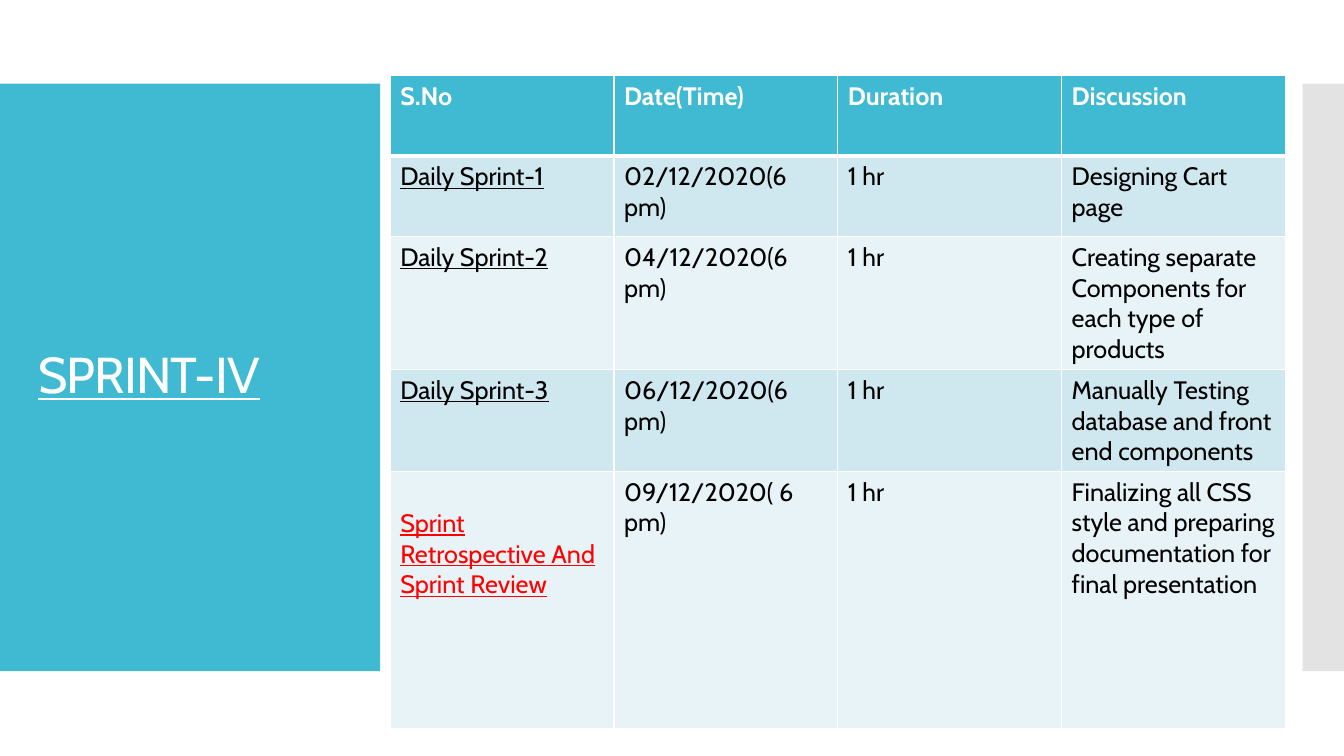
from lxml import etree
from pptx import Presentation
from pptx.dml.color import RGBColor
from pptx.enum import shapes, text
from pptx.oxml import ns
from pptx.util import Inches, Pt

FONT = "Cabin"
TEAL, WHITE, BLACK, RED, GREY = "40BAD2", "FFFFFF", "000000", "FF0000", "C8C8C8"
BANDS = ["CFE7EE", "E8F3F7"]

COLUMN_WIDTH = 2.22
ROW_HEIGHTS = [0.8, 0.8, 1.32, 1.01, 2.55]
SPRINTS = [
    ["S.No", "Date(Time)", "Duration", "Discussion"],
    ["Daily Sprint-1", "02/12/2020(6 pm)", "1 hr", "Designing Cart page"],
    ["Daily Sprint-2", "04/12/2020(6 pm)", "1 hr",
     "Creating separate Components for each type of products"],
    ["Daily Sprint-3", "06/12/2020(6 pm)", "1 hr",
     "Manually Testing database and front end components"],
    ["Sprint Retrospective And Sprint Review", "09/12/2020( 6 pm)", "1 hr",
     "Finalizing all CSS style and preparing documentation for final presentation"],
]


def paint(fill, color):
    fill.solid()
    fill.fore_color.rgb = RGBColor.from_string(color)


def style(span, size, color, bold=False, underline=False):
    font = span.font
    font.name, font.size = FONT, Pt(size)
    font.bold, font.underline = bold, underline
    font.color.rgb = RGBColor.from_string(color)


def add_panel(page, left, width, color, opacity=100):
    panel = page.shapes.add_shape(shapes.MSO_SHAPE.RECTANGLE, Inches(left),
                                  Inches(0.83), Inches(width), Inches(5.83))
    panel.shadow.inherit = False
    panel.line.fill.background()
    paint(panel.fill, color)
    if opacity < 100:
        tint = panel.fill._xPr.find(".//" + ns.qn("a:srgbClr"))
        etree.SubElement(tint, ns.qn("a:alpha"), val=str(opacity * 1000))


def add_title(page, title):
    box = page.shapes.add_textbox(Inches(0.28), Inches(1.23), Inches(3.22), Inches(5.03))
    frame = box.text_frame
    frame.word_wrap = True
    frame.vertical_anchor = text.MSO_ANCHOR.MIDDLE
    frame.text = title
    para = frame.paragraphs[0]
    para.line_spacing = 0.9
    span = para.runs[0]
    style(span, 36, WHITE, underline=True)
    span.font._element.set("spc", "-60")


def set_borders(cell, top, bottom):
    properties = cell._tc.get_or_add_tcPr()
    widths = {"lnL": 1, "lnR": 1, "lnT": top, "lnB": bottom}
    # Border lines come before the fill in the cell properties
    for position, (side, width) in enumerate(widths.items()):
        line = etree.Element(ns.qn("a:" + side), w=str(Pt(width)))
        solid = etree.SubElement(line, ns.qn("a:solidFill"))
        etree.SubElement(solid, ns.qn("a:srgbClr"), val=WHITE)
        properties.insert(position, line)


def add_sprint_table(page):
    rows, columns = len(SPRINTS), len(SPRINTS[0])
    table = page.shapes.add_table(rows, columns, Inches(3.87), Inches(0.75),
                                  Inches(COLUMN_WIDTH * columns),
                                  Inches(sum(ROW_HEIGHTS))).table
    for column in table.columns:
        column.width = Inches(COLUMN_WIDTH)
    for r, (height, entries) in enumerate(zip(ROW_HEIGHTS, SPRINTS)):
        table.rows[r].height = Inches(height)
        header, review = r == 0, r == rows - 1
        for c, entry in enumerate(entries):
            cell = table.cell(r, c)
            cell.text = entry
            label = c == 0 and not header
            color = WHITE if header else RED if label and review else BLACK
            style(cell.text_frame.paragraphs[0].runs[0], 18, color, header, label)
            paint(cell.fill, TEAL if header else BANDS[(r - 1) % 2])
            set_borders(cell, 3 if r == 1 else 1, 3 if header else 1)
    # The review label starts one line lower
    table.cell(rows - 1, 0).margin_top = Inches(0.36)


def main():
    deck = Presentation()
    deck.slide_width, deck.slide_height = Inches(13.33), Inches(7.5)
    page = deck.slides.add_slide(deck.slide_layouts[6])

    # Side panels
    add_panel(page, 0, 3.77, TEAL)
    add_panel(page, 12.92, 0.41, GREY, opacity=50)

    # Title and schedule
    add_title(page, "SPRINT-IV")
    add_sprint_table(page)

    deck.save("out.pptx")


if __name__ == "__main__":
    main()
